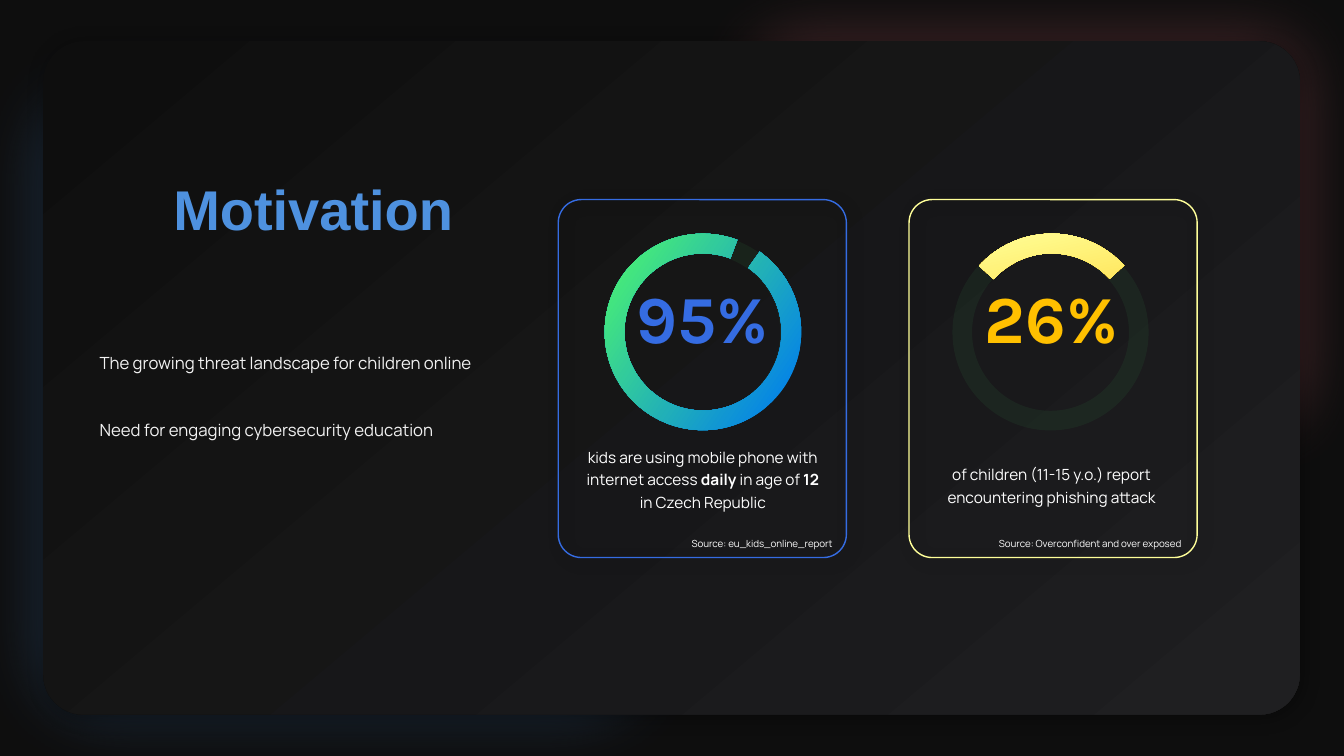
import dataclasses

import lxml.etree
import pptx
import pptx.dml.color
import pptx.enum.shapes
import pptx.enum.text
import pptx.oxml.ns
import pptx.util

Cm = pptx.util.Cm
Pt = pptx.util.Pt
SHAPE = pptx.enum.shapes.MSO_SHAPE
ALIGN = pptx.enum.text.PP_ALIGN
qn = pptx.oxml.ns.qn


@dataclasses.dataclass(frozen=True)
class Theme:
    """Colours, gradients as (angle, stops), fonts and type sizes."""
    back: str = "0E0E0E"
    black: str = "000000"
    white: str = "FFFFFF"
    soft: str = "F2F2F2"
    red: str = "CE6671"
    sky: str = "5997E1"
    blue: str = "4E91DF"
    royal: str = "356CE2"
    lemon: str = "FFFF99"
    track: str = "4CF371"
    panel: tuple = (50, ((0, "0E0E0E"), (100, "1F1F21")))
    title: tuple = (0, ((0, "346AE2"), (35, "4E91DF"), (65, "9772C2"), (100, "CE6671")))
    cool: tuple = (180, ((0, "356CE2"), (100, "48ED9C")))
    warm: tuple = (210, ((0, "FFC000"), (100, "FFFF99")))
    cool_arc: tuple = (194, ((22, "0787E3"), (85, "4CF371")))
    warm_arc: tuple = (210, ((22, "FFC000"), (85, "FFFF99")))
    head_font: str = "Arial"
    body_font: str = "Manrope"
    value_font: str = "Karla"
    head_size: int = 40
    value_size: int = 48
    body_size: int = 12
    caption_size: int = 11
    source_size: int = 7
    leading: int = 16


class Deck:
    """Draws styled elements on the current slide."""

    def __init__(self, prs, theme):
        """Add a blank slide with the theme background."""
        self.theme = theme
        self.s = prs.slides.add_slide(prs.slide_layouts[6])
        self.paint(self.s.background.fill, theme.back)

    def paint(self, fill, color, element=None):
        """Fill with a solid colour, or with a gradient held in element."""
        if isinstance(color, str):
            fill.solid()
            fill.fore_color.rgb = pptx.dml.color.RGBColor.from_string(color)
            return
        angle, stops = color
        fill.gradient()
        fill.gradient_angle = (360 - angle) % 360
        gs_list = next(element.iter(qn("a:gsLst")))
        for gs in list(gs_list):
            gs_list.remove(gs)
        for pos, rgb in stops:
            gs = lxml.etree.SubElement(gs_list, qn("a:gs"), pos=str(pos * 1000))
            lxml.etree.SubElement(gs, qn("a:srgbClr"), val=rgb)

    def alpha(self, clr, percent):
        """Set the opacity of a colour element."""
        lxml.etree.SubElement(clr, qn("a:alpha"), val=str(percent * 1000))

    def shape(self, kind, box, fill=None, line=None, adj=(), shadow=None):
        """Add a preset shape; line is (colour, width), shadow (colour, opacity, blur, angle)."""
        sp = self.s.shapes.add_shape(kind, *map(Cm, box))
        for i, value in enumerate(adj):
            sp.adjustments[i] = value
        if fill:
            self.paint(sp.fill, fill, sp._element.spPr)
        else:
            sp.fill.background()
        if line:
            self.paint(sp.line.fill, line[0])
            sp.line.width = Pt(line[1])
        else:
            sp.line.fill.background()
        sp.shadow.inherit = False
        if shadow:
            color, opacity, blur, angle = shadow
            effects = sp._element.spPr.find(qn("a:effectLst"))
            outer = lxml.etree.SubElement(
                effects, qn("a:outerShdw"), blurRad=str(Pt(blur)), dist=str(Pt(3)),
                dir=str(angle * 60000), algn="ctr", rotWithShape="0")
            self.alpha(lxml.etree.SubElement(outer, qn("a:srgbClr"), val=color), opacity)
        return sp

    def text(self, box, paragraphs, font, size, color, align=ALIGN.LEFT, leading=True, gap=0):
        """Add a text box from paragraphs of (text, bold) runs."""
        tf = self.s.shapes.add_textbox(*map(Cm, box)).text_frame
        tf.word_wrap = True
        tf.auto_size = pptx.enum.text.MSO_AUTO_SIZE.SHAPE_TO_FIT_TEXT
        for i, runs in enumerate(paragraphs):
            p = tf.add_paragraph() if i else tf.paragraphs[0]
            p.alignment = align
            if leading:
                p.line_spacing = Pt(self.theme.leading)
            if i and gap:
                p.space_before = Pt(gap)
            for content, bold in runs:
                r = p.add_run()
                r.text = content
                r.font.name = font
                r.font.size = Pt(size)
                r.font.bold = bold
                self.paint(r.font.fill, color, r._r)

    def ring(self, x, fill, start, rotation):
        """Add a faint track and the arc that shows the share."""
        track = self.shape(SHAPE.OVAL, (x + 0.22, 6.15, 4.45, 4.45), line=(self.theme.track, 14))
        self.alpha(next(track.line._ln.iter(qn("a:srgbClr"))), 5)
        arc = self.shape(SHAPE.BLOCK_ARC, (x, 5.89, 4.95, 4.95), fill, adj=(start, 162.03, 0.1))
        arc.rotation = rotation

    def card(self, x, inner, border, value, color, arc, caption, caption_box, source):
        """Add a framed statistic with ring, value, caption and source."""
        t = self.theme
        self.shape(SHAPE.ROUNDED_RECTANGLE, (x, 5.03, 7.26, 9.02), line=(border, 1),
                   adj=(0.08,), shadow=(t.black, 25, 10, 45))
        self.ring(inner + 1.02, *arc)
        self.text((inner + 1.02, 8.31, 4.93, 1.17), [[(value, True)]],
                  t.value_font, t.value_size, color, ALIGN.CENTER)
        top, height = caption_box
        self.text((inner + 0.13, top, 6.73, height), caption,
                  t.body_font, t.caption_size, t.white, ALIGN.CENTER)
        self.text((inner, 13.16, 7.01, 0.76), [[(source, False)]],
                  t.body_font, t.source_size, t.white, ALIGN.RIGHT)


def main():
    """Build the motivation slide."""
    prs = pptx.Presentation()
    prs.slide_width, prs.slide_height = Cm(33.87), Cm(19.05)
    t = Theme()
    deck = Deck(prs, t)
    for box, adj, fill, shadow in (
        ((19, 1.12, 13.67, 9.55), 0.1, t.red, (t.red, 35, 50, 315)),
        ((1.12, 2.31, 15.11, 15.6), 0.1, t.sky, (t.blue, 26, 50, 135)),
        ((1.09, 1.04, 31.67, 16.97), 0.06, t.panel, (t.black, 34, 13, 45)),
    ):
        deck.shape(SHAPE.ROUNDED_RECTANGLE, box, fill, adj=(adj,), shadow=shadow)
    deck.text((2.74, 4.27, 10.31, 1.96), [[("Motivation", True)]],
              t.head_font, t.head_size, t.title, ALIGN.CENTER, leading=False)
    deck.text((2.26, 8.71, 11.2, 2.51),
              [[("The growing threat landscape for children online", False)],
               [("Need for engaging cybersecurity education", False)]],
              t.body_font, t.body_size, t.soft, gap=2 * t.leading)
    deck.card(14.07, 14.22, t.royal, "95%", t.cool, (t.cool_arc, 170.92, 20.4),
              [[("kids are using mobile phone with internet access ", False), ("daily", True),
                (" in age of ", False), ("12", True), (" in Czech Republic", False)]],
              (11.07, 1.93), "Source: eu_kids_online_report")
    deck.card(22.91, 23.01, t.lemon, "26%", t.warm, (t.warm_arc, 104.94, 47.4),
              [[("of children (11-15 y.o.) report", False)],
               [("encountering phishing attack", False)]],
              (11.51, 1.37), "Source: Overconfident and over exposed")
    prs.save("out.pptx")


if __name__ == "__main__":
    main()
